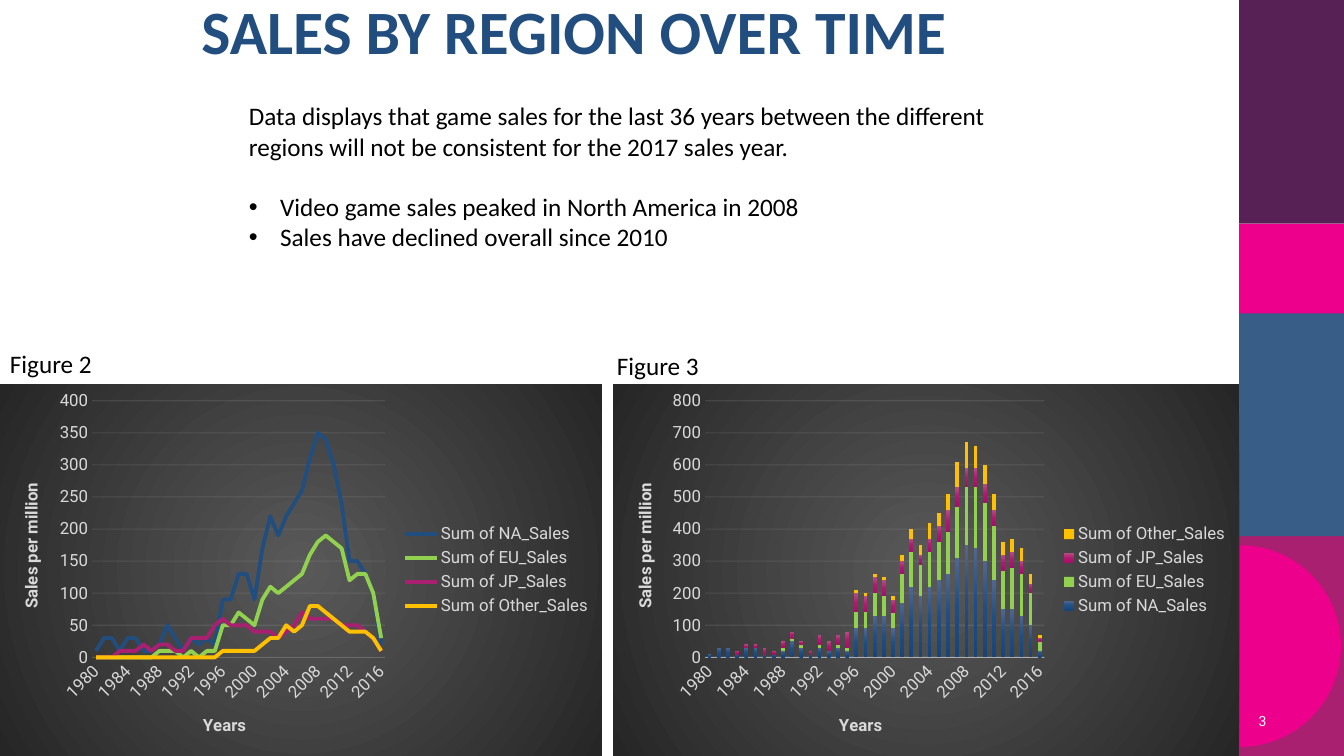
"""Build the slide on game sales by region over time, with a line chart and a stacked column chart."""
import math

from lxml import etree
from pptx import Presentation
from pptx import util as u
from pptx.chart.data import CategoryChartData
from pptx.dml.color import RGBColor
from pptx.enum import chart as charts, shapes, text
from pptx.oxml import parse_xml
from pptx.oxml.ns import nsdecls, qn

NAVY = RGBColor(0x22, 0x4E, 0x7F)
STEEL = RGBColor(0x38, 0x5E, 0x88)
PLUM = RGBColor(0x58, 0x21, 0x56)
PINK = RGBColor(0xEC, 0x00, 0x8C)
MAGENTA = RGBColor(0xAA, 0x20, 0x70)
GREEN = RGBColor(0x92, 0xD0, 0x50)
GOLD = RGBColor(0xFF, 0xC0, 0x00)
PALE = RGBColor(0xF2, 0xF2, 0xF2)
GREY = RGBColor(0xD9, 0xD9, 0xD9)
BLACK = RGBColor(0x00, 0x00, 0x00)
WHITE = RGBColor(0xFF, 0xFF, 0xFF)

WIDTH, HEIGHT = 13.33, 7.5
SIDEBAR_LEFT = 12.29
CHART_TOP = 3.81


def gradient(stops, direction):
    """Return a gradient fill with evenly spaced colours."""
    step = 100000 // (len(stops) - 1)
    marks = "".join(f'<a:gs pos="{i * step}"><a:srgbClr val="{colour}"/></a:gs>'
                    for i, colour in enumerate(stops))
    return parse_xml(f'<a:gradFill {nsdecls("a")} rotWithShape="1">'
                     f'<a:gsLst>{marks}</a:gsLst>{direction}</a:gradFill>')


def place(parent, index, **shares):
    """Fix a chart part at shares of the chart's size."""
    for old in parent.findall(qn("c:layout")):
        parent.remove(old)
    layout = parse_xml(f'<c:layout {nsdecls("c")}><c:manualLayout/></c:layout>')
    manual = layout[0]
    if "w" in shares:
        etree.SubElement(manual, qn("c:layoutTarget")).set("val", "inner")
    for mode in ("xMode", "yMode"):
        etree.SubElement(manual, qn(f"c:{mode}")).set("val", "edge")
    for name, share in shares.items():
        etree.SubElement(manual, qn(f"c:{name}")).set("val", str(share))
    parent.insert(index, layout)


presentation = Presentation()
presentation.slide_width = u.Inches(WIDTH)
presentation.slide_height = u.Inches(HEIGHT)
slide = presentation.slides.add_slide(presentation.slide_layouts[6])

for top, height, colour in [(5.28, 2.22, MAGENTA), (3.1, 2.22, STEEL),
                            (0, 2.22, PLUM), (2.22, 0.89, PINK)]:
    band = slide.shapes.add_shape(shapes.MSO_SHAPE.RECTANGLE, u.Inches(SIDEBAR_LEFT), u.Inches(top),
                                  u.Inches(WIDTH - SIDEBAR_LEFT), u.Inches(height))
    band.shadow.inherit = False
    band.fill.solid()
    band.fill.fore_color.rgb = colour
    band.line.fill.background()

arc = [(u.Inches(12.3 + math.cos(math.radians(angle))), u.Inches(6.41 + math.sin(math.radians(angle))))
       for angle in range(-90, 91, 3)]
builder = slide.shapes.build_freeform(*arc[0])
builder.add_line_segments(arc[1:], close=True)
half_disc = builder.convert_to_shape()
half_disc.shadow.inherit = False
half_disc.fill.solid()
half_disc.fill.fore_color.rgb = PINK
half_disc.line.fill.background()

YEARS = [str(year) for year in range(1980, 2017)]
SALES = {
    "Sum of NA_Sales": [10, 30, 30, 10, 30, 30, 10, 10, 20, 50, 30, 10, 30, 20, 30, 20, 90, 90, 130,
                        130, 90, 170, 220, 190, 220, 240, 260, 310, 350, 340, 300, 240, 150, 150,
                        130, 100, 20],
    "Sum of EU_Sales": [0, 0, 0, 0, 0, 0, 0, 0, 10, 10, 10, 0, 10, 0, 10, 10, 50, 50, 70, 60, 50, 90,
                        110, 100, 110, 120, 130, 160, 180, 190, 180, 170, 120, 130, 130, 100, 30],
    "Sum of JP_Sales": [0, 0, 0, 10, 10, 10, 20, 10, 20, 20, 10, 10, 30, 30, 30, 50, 60, 50, 50, 50,
                        40, 40, 40, 30, 40, 50, 70, 60, 60, 60, 60, 50, 50, 50, 40, 30, 10],
    "Sum of Other_Sales": [0] * 16 + [10, 10, 10, 10, 10, 20, 30, 30, 50, 40, 50, 80, 80, 70, 60, 50,
                                      40, 40, 40, 30, 10],
}
COLOURS = [NAVY, GREEN, MAGENTA, GOLD]
COLUMN_GRADIENTS = {0: ["50678F", "1D4E84", "164579"], 2: ["B64F81", "B11971", "A31065"]}
CENTRE = '<a:path path="circle"><a:fillToRect l="50000" t="50000" r="50000" b="50000"/></a:path>'
DOWNWARD = '<a:lin ang="5400000" scaled="0"/>'

sales_data = CategoryChartData()
sales_data.categories = YEARS
for name, values in SALES.items():
    sales_data.add_series(name, values)

for kind, left, width, top_value, axis_alpha, plot_left, plot_width, years_left in [
        (charts.XL_CHART_TYPE.LINE, 0, 5.97, 400, 10, 0.153, 0.487, 0.332),
        (charts.XL_CHART_TYPE.COLUMN_STACKED, 6.08, 6.21, 800, 54, 0.147, 0.542, 0.356)]:
    frame = slide.shapes.add_chart(kind, u.Inches(left), u.Inches(CHART_TOP), u.Inches(width),
                                   u.Inches(HEIGHT - CHART_TOP), sales_data)
    chart = frame.chart
    chart.has_title = False
    chart.font.size = u.Pt(12)
    chart.font.name = "Roboto"
    chart.font.color.rgb = GREY
    chart.has_legend = True
    chart.legend.position = charts.XL_LEGEND_POSITION.RIGHT
    chart.legend.include_in_layout = False
    chart.legend.font.size = u.Pt(12)
    chart.legend.font.name = "Roboto"
    chart.legend.font.color.rgb = GREY

    years, sales = chart.category_axis, chart.value_axis
    years.format.line.color.rgb = PALE
    years.format.line.width = u.Pt(0.75)
    sales.format.line.fill.background()
    sales.major_gridlines.format.line.color.rgb = PALE
    sales.major_gridlines.format.line.width = u.Pt(0.75)
    sales.minimum_scale, sales.maximum_scale = 0, top_value
    sales.major_unit = top_value / 8
    skip = parse_xml(f'<c:tickLblSkip {nsdecls("c")} val="4"/>')
    years._element.find(qn("c:noMultiLvlLbl")).addprevious(skip)

    for axis, title, alpha, spot in [(years, "Years", axis_alpha, (years_left, 0.877)),
                                     (sales, "Sales per million", 10, (0.028, 0.258))]:
        for line_colour in axis._element.iter(qn("a:srgbClr")):
            etree.SubElement(line_colour, qn("a:alpha")).set("val", str(alpha * 1000))
        axis.major_tick_mark = charts.XL_TICK_MARK.NONE
        axis.minor_tick_mark = charts.XL_TICK_MARK.NONE
        axis.tick_labels.font.size = u.Pt(12)
        axis.tick_labels.font.name = "Roboto"
        axis.tick_labels.font.color.rgb = GREY
        axis.axis_title.text_frame.text = title
        title_font = axis.axis_title.text_frame.paragraphs[0].font
        title_font.size, title_font.bold, title_font.name = u.Pt(12), True, "Roboto"
        title_font.color.rgb = GREY
        place(axis.axis_title._element, 1, x=spot[0], y=spot[1])
    years._element.find(qn("c:txPr")).find(qn("a:bodyPr")).set("rot", "-2700000")
    sales.axis_title.text_frame._txBody.find(qn("a:bodyPr")).set("rot", "-5400000")

    plot = chart.plots[0]
    plot.vary_by_categories = False
    for index, (series, colour) in enumerate(zip(plot.series, COLOURS)):
        if kind == charts.XL_CHART_TYPE.LINE:
            series.smooth = False
            series.marker.style = charts.XL_MARKER_STYLE.NONE
            series.format.line.color.rgb = colour
            series.format.line.width = u.Pt(2.75)
        elif index in COLUMN_GRADIENTS:
            series._element.get_or_add_spPr().append(gradient(COLUMN_GRADIENTS[index], DOWNWARD))
        else:
            series.format.fill.solid()
            series.format.fill.fore_color.rgb = colour
    if kind == charts.XL_CHART_TYPE.COLUMN_STACKED:
        plot.gap_width, plot.overlap = 150, 100

    space = chart._chartSpace
    place(next(space.iter(qn("c:plotArea"))), 0, x=plot_left, y=0.045, w=plot_width, h=0.69)
    backdrop = parse_xml(f'<c:spPr {nsdecls("c", "a")}><a:ln><a:noFill/></a:ln></c:spPr>')
    backdrop.insert(0, gradient(["595959", "262626"], CENTRE))
    space.find(qn("c:chart")).addnext(backdrop)

SUMMARY = ["Data displays that game sales for the last 36 years between the different regions "
           "will not be consistent for the 2017 sales year.",
           "Video game sales peaked in North America in 2008",
           "Sales have declined overall since 2010"]
for left, top, width, height, lines, size, font_name, colour in [
        (1.9, -0.04, 10.27, 1.49, ["SALES BY REGION OVER TIME"], 44, "Calibri", NAVY),
        (12.16, 6.95, 0.5, 0.4, ["3"], 10, "Roboto", WHITE),
        (2.37, 0.95, 7.77, 1.92, SUMMARY, 18, "Calibri", BLACK),
        (0, 3.41, 1.86, 0.4, ["Figure 2"], 18, "Calibri", BLACK),
        (6.02, 3.43, 1.42, 0.4, ["Figure 3"], 18, "Calibri", BLACK)]:
    box = slide.shapes.add_textbox(u.Inches(left), u.Inches(top), u.Inches(width), u.Inches(height))
    text_frame = box.text_frame
    text_frame.word_wrap = True
    text_frame.text = "\n".join(lines)
    for index, paragraph in enumerate(text_frame.paragraphs):
        if index:
            properties = paragraph._p.get_or_add_pPr()
            properties.set("marL", str(u.Inches(0.31)))
            properties.set("indent", str(-u.Inches(0.31)))
            etree.SubElement(properties, qn("a:buFont")).set("typeface", "Arial")
            etree.SubElement(properties, qn("a:buChar")).set("char", "•")
            paragraph.space_before = u.Pt(21.6 if index == 1 else 0)
        paragraph.font.size, paragraph.font.name = u.Pt(size), font_name
        paragraph.font.color.rgb = colour
        if colour == NAVY:
            paragraph.font.bold = True
            paragraph.line_spacing = 0.9
        elif colour == WHITE:
            paragraph.alignment = text.PP_ALIGN.RIGHT
            text_frame.vertical_anchor = text.MSO_ANCHOR.MIDDLE

presentation.save("out.pptx")
